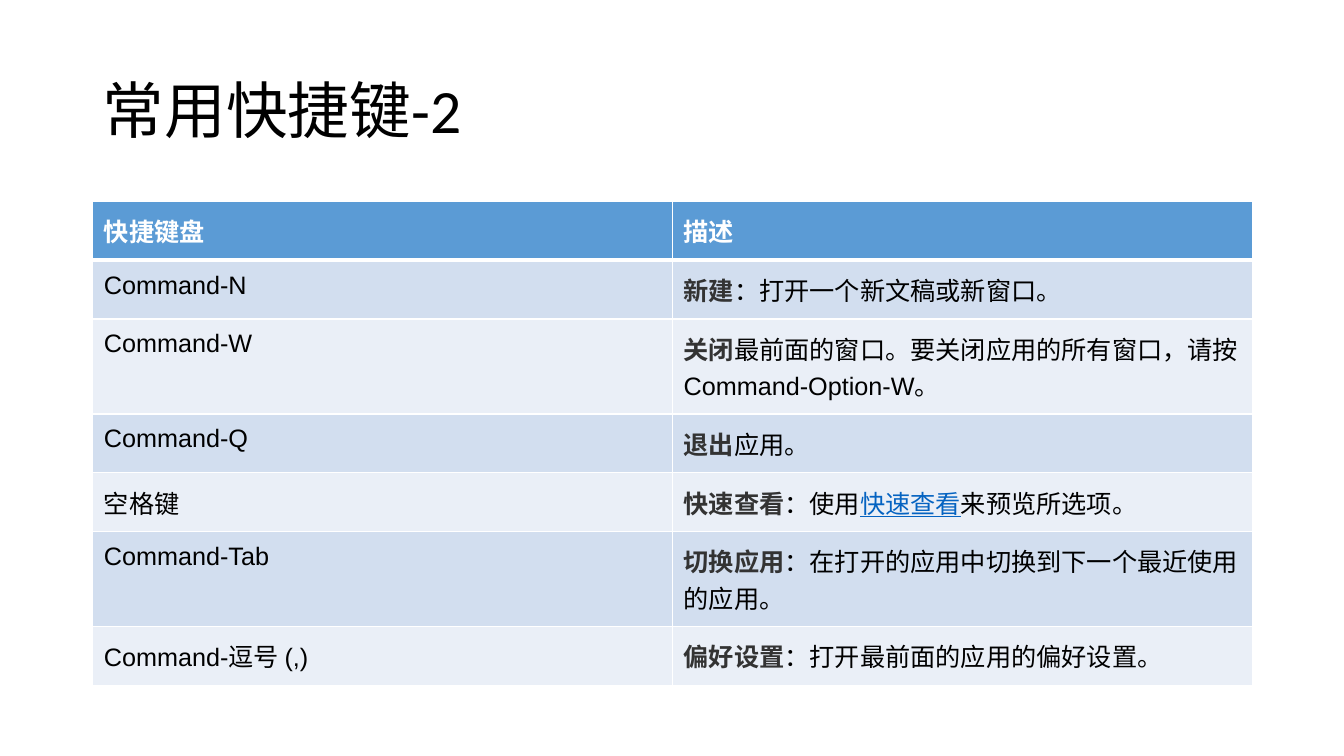
import pptx
import pptx.dml.color
import pptx.enum.text
import pptx.oxml
import pptx.oxml.ns
import pptx.util
from pptx.util import Inches

HUES = {
    "head": "5B9BD5",
    "odd": "D2DEEF",
    "even": "EAEFF7",
    "white": "FFFFFF",
    "black": "000000",
    "key": "333333",
    "link": "0563C1",
}

HEADS = ["快捷键盘", "描述"]
KEYS = [
    ("Command-N", [("新建", "key"), ("：打开一个新文稿或新窗口。", "black")]),
    ("Command-W", [("关闭", "key"),
                   ("最前面的窗口。要关闭应用的所有窗口，请按 Command-Option-W。", "black")]),
    ("Command-Q", [("退出", "key"), ("应用。", "black")]),
    ("空格键", [("快速查看", "key"), ("：使用", "black"),
             ("快速查看", "link"), ("来预览所选项。", "black")]),
    ("Command-Tab", [("切换应用", "key"),
                     ("：在打开的应用中切换到下一个最近使用的应用。", "black")]),
    ("Command-逗号 (,)", [("偏好设置", "key"), ("：打开最前面的应用的偏好设置。", "black")]),
]


def color(name):
    """Return the named colour."""
    return pptx.dml.color.RGBColor.from_string(HUES[name])


def add_run(para, text, font, size, hue):
    """Add one styled run to a paragraph."""
    run = para.add_run()
    run.text = text
    run.font.name = font
    run.font.size = pptx.util.Pt(size)
    run.font.color.rgb = color(hue)
    run.font.bold = hue in ("white", "key")
    run.font.underline = hue == "link"


def add_edges(cell, top, bottom):
    """Draw the white borders of a cell, widths in points."""
    props = cell._tc.get_or_add_tcPr()
    edges = [("L", 1), ("R", 1), ("T", top), ("B", bottom)]
    for spot, (side, width) in enumerate(edges):
        line = pptx.oxml.parse_xml(
            f'<a:ln{side} {pptx.oxml.ns.nsdecls("a")} w="{pptx.util.Pt(width)}">'
            f'<a:solidFill><a:srgbClr val="{HUES["white"]}"/></a:solidFill>'
            f'</a:ln{side}>')
        props.insert(spot, line)


def fill_cell(cell, runs, row):
    """Style a cell by its row and write its runs."""
    cell.margin_left = cell.margin_right = Inches(0.11)
    cell.margin_top = cell.margin_bottom = Inches(0.11)
    cell.fill.solid()
    cell.fill.fore_color.rgb = color("head" if row == 0 else "odd" if row % 2 else "even")
    add_edges(cell, 3 if row == 1 else 1, 3 if row == 0 else 1)
    for text, hue in runs:
        add_run(cell.text_frame.paragraphs[0], text, "Arial", 18, hue)


def add_title(slide, left, top, width, height):
    """Place the slide title in its box."""
    title = slide.shapes.title
    title.left, title.top = Inches(left), Inches(top)
    title.width, title.height = Inches(width), Inches(height)
    frame = title.text_frame
    frame.vertical_anchor = pptx.enum.text.MSO_ANCHOR.MIDDLE
    para = frame.paragraphs[0]
    para.alignment = pptx.enum.text.PP_ALIGN.LEFT
    para.line_spacing = 0.9
    add_run(para, "常用快捷键-2", "Calibri", 44, "black")


def add_keys(slide, left, top, width, row_height):
    """Place the shortcut table in its box."""
    rows = [[[(head, "white")] for head in HEADS]]
    rows += [[[(key, "black")], runs] for key, runs in KEYS]
    table = slide.shapes.add_table(
        len(rows), len(HEADS), Inches(left), Inches(top),
        Inches(width), Inches(row_height * len(rows))).table
    for col in table.columns:
        col.width = Inches(width / len(HEADS))
    for row, cells in enumerate(rows):
        table.rows[row].height = Inches(row_height)
        for col, runs in enumerate(cells):
            fill_cell(table.cell(row, col), runs, row)


def main():
    """Build and save the slide."""
    deck = pptx.Presentation()
    deck.slide_width, deck.slide_height = Inches(13.33), Inches(7.5)
    slide = deck.slides.add_slide(deck.slide_layouts[5])
    add_title(slide, 0.92, 0.4, 11.5, 1.45)
    add_keys(slide, 0.92, 2, 11.5, 0.41)
    deck.save("out.pptx")


if __name__ == "__main__":
    main()
